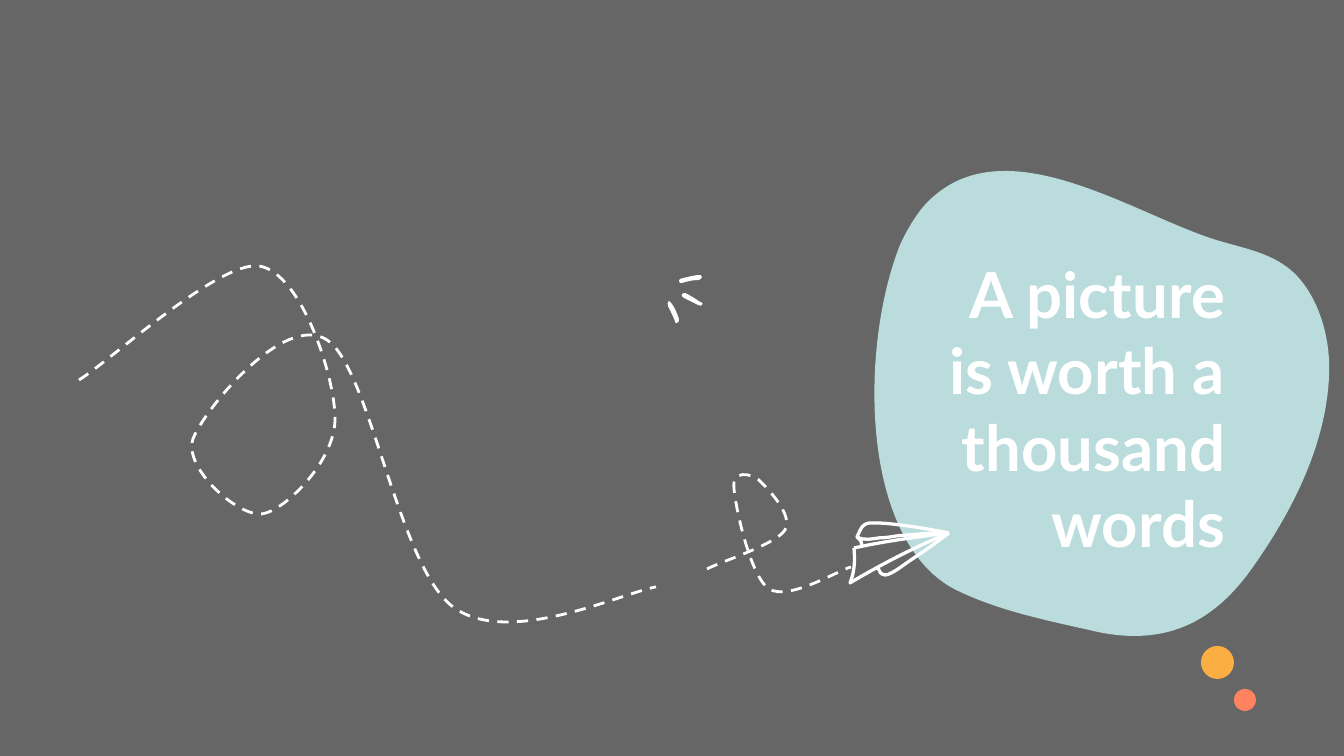
from lxml.etree import SubElement
from pptx import Presentation
from pptx.dml.color import RGBColor
from pptx.enum.dml import MSO_LINE
from pptx.enum.shapes import MSO_SHAPE
from pptx.enum.text import MSO_ANCHOR, PP_ALIGN
from pptx.oxml.ns import qn
from pptx.util import Pt

PX = 914400 / 134.4
GRAY, WHITE, TEAL, ORANGE, CORAL = "666666", "FFFFFF", "BBDCDC", "FBAF42", "FF8361"

BLOB = (1005, 171), [
    (974, 171, 946, 181, 923, 207), (914, 218, 907, 230, 900, 245),
    (860, 345, 859, 538, 954, 589), (996, 610, 1044, 620, 1089, 630),
    (1105, 634, 1120, 636, 1134, 636), (1179, 636, 1218, 617, 1253, 567),
    (1289, 516, 1326, 448, 1329, 376), (1331, 337, 1318, 296, 1294, 273),
    (1274, 254, 1247, 249, 1223, 242), (1164, 226, 1078, 171, 1005, 171),
]
PLANE = [
    ((854, 548), [(886, 541, 917, 537, 949, 533)]),
    ((854, 548), [(855, 559, 855, 571, 850, 583), (882, 564, 915, 547, 949, 533)]),
    ((949, 533), [
        (933, 530, 917, 527, 900, 525), (892, 524, 884, 523, 876, 523),
        (871, 523, 866, 522, 862, 527), (860, 530, 859, 533, 857, 537),
    ]),
    ((862, 546), [
        (862, 542, 860, 539, 857, 537), (864, 541, 872, 539, 879, 538),
        (885, 538, 891, 537, 897, 536), (911, 535, 926, 533, 942, 533),
    ]),
    ((877, 568), [
        (880, 569, 879, 573, 882, 574), (886, 577, 891, 573, 895, 571),
        (900, 568, 905, 564, 911, 560), (923, 552, 936, 543, 949, 533),
    ]),
]
TRAILS = [
    ((79, 380), [
        (109, 362, 218, 261, 259, 266), (302, 273, 335, 378, 335, 418),
        (336, 460, 285, 511, 262, 514), (238, 517, 183, 468, 193, 439),
        (204, 410, 284, 312, 327, 340), (370, 368, 398, 566, 453, 607),
        (508, 648, 622, 593, 656, 587),
    ]),
    ((707, 569), [
        (720, 562, 777, 544, 785, 530), (794, 515, 767, 488, 759, 480),
        (750, 473, 732, 470, 734, 488), (735, 505, 750, 576, 769, 589),
        (789, 601, 837, 571, 851, 567),
    ]),
]
SPARKS = [
    ((702, 277), [
        (702, 276, 700, 274, 698, 275), (692, 276, 687, 277, 680, 279),
        (679, 280, 679, 281, 679, 281), (679, 282, 680, 284, 682, 283),
        (688, 281, 694, 280, 699, 280), (701, 279, 702, 278, 702, 277),
    ]),
    ((702, 305), [
        (703, 305, 703, 302, 700, 302), (696, 299, 691, 296, 685, 293),
        (684, 293, 683, 293, 682, 294), (681, 296, 682, 297, 684, 298),
        (690, 301, 694, 303, 698, 305), (700, 306, 702, 306, 702, 305),
    ]),
    ((677, 323), [
        (679, 323, 679, 321, 679, 319), (677, 313, 675, 308, 672, 304),
        (671, 302, 669, 301, 669, 301), (668, 302, 667, 304, 668, 306),
        (671, 312, 673, 316, 675, 321), (675, 323, 676, 324, 677, 323),
    ]),
]
DOTS = [(1201, 646, 33, ORANGE), (1234, 689, 22, CORAL)]


def px(length):
    return round(length * PX)


def color(hex_code):
    return RGBColor.from_string(hex_code)


def points_along(start, segments, steps=20):
    points = [start]
    for x1, y1, x2, y2, x3, y3 in segments:
        x0, y0 = points[-1]
        for step in range(1, steps + 1):
            t = step / steps
            weights = (1 - t) ** 3, 3 * t * (1 - t) ** 2, 3 * t * t * (1 - t), t ** 3
            points.append(tuple(
                round(sum(w * v for w, v in zip(weights, axis)))
                for axis in ((x0, x1, x2, x3), (y0, y1, y2, y3))
            ))
    return points


def add_curve(slide, start, segments, closed=False):
    points = points_along(start, segments)
    builder = slide.shapes.build_freeform(*start, scale=PX)
    builder.add_line_segments(points[1:], close=closed)
    curve = builder.convert_to_shape()
    curve.shadow.inherit = False
    left, top = (min(axis) for axis in zip(*points))
    outline = curve._element.xpath(".//a:path")[0]
    for straight in outline.findall(qn("a:lnTo")):
        outline.remove(straight)
    for position, segment in enumerate(segments, 1):
        bend = SubElement(outline, qn("a:cubicBezTo"))
        for x, y in zip(segment[::2], segment[1::2]):
            SubElement(bend, qn("a:pt"), x=str(x - left), y=str(y - top))
        outline.insert(position, bend)
    return curve


def paint(shape, fill):
    shape.fill.solid()
    shape.fill.fore_color.rgb = color(fill)
    shape.line.fill.background()


def add_filled(slide, start, segments, fill):
    paint(add_curve(slide, start, segments, closed=True), fill)


def add_stroke(slide, start, segments, width, dash=None):
    stroke = add_curve(slide, start, segments)
    stroke.fill.background()
    stroke.line.color.rgb = color(WHITE)
    stroke.line.width = Pt(width)
    stroke.line.dash_style = dash


def add_dot(slide, left, top, size, fill):
    dot = slide.shapes.add_shape(MSO_SHAPE.OVAL, px(left), px(top), px(size), px(size))
    dot.shadow.inherit = False
    paint(dot, fill)


def add_title(slide, wording, left, top, width, height):
    title = slide.shapes.add_textbox(px(left), px(top), px(width), px(height))
    frame = title.text_frame
    frame.word_wrap = True
    frame.vertical_anchor = MSO_ANCHOR.BOTTOM
    frame.margin_left = frame.margin_right = px(13)
    frame.margin_top = frame.margin_bottom = px(13)
    frame.text = wording
    frame.paragraphs[0].alignment = PP_ALIGN.RIGHT
    font = frame.paragraphs[0].runs[0].font
    font.name, font.size, font.bold = "Lato", Pt(34), True
    font.color.rgb = color(WHITE)


def main():
    deck = Presentation()
    deck.slide_width, deck.slide_height = px(1344), px(756)
    slide = deck.slides.add_slide(deck.slide_layouts[6])
    slide.background.fill.solid()
    slide.background.fill.fore_color.rgb = color(GRAY)

    add_filled(slide, *BLOB, TEAL)
    add_title(slide, "A picture is worth a thousand words", 907, 171, 331, 402)
    for fold in PLANE:
        add_stroke(slide, *fold, 1.75)
    for trail in TRAILS:
        add_stroke(slide, *trail, 1.5, MSO_LINE.DASH)
    for spark in SPARKS:
        add_filled(slide, *spark, WHITE)
    for dot in DOTS:
        add_dot(slide, *dot)
    deck.save("out.pptx")


if __name__ == "__main__":
    main()
